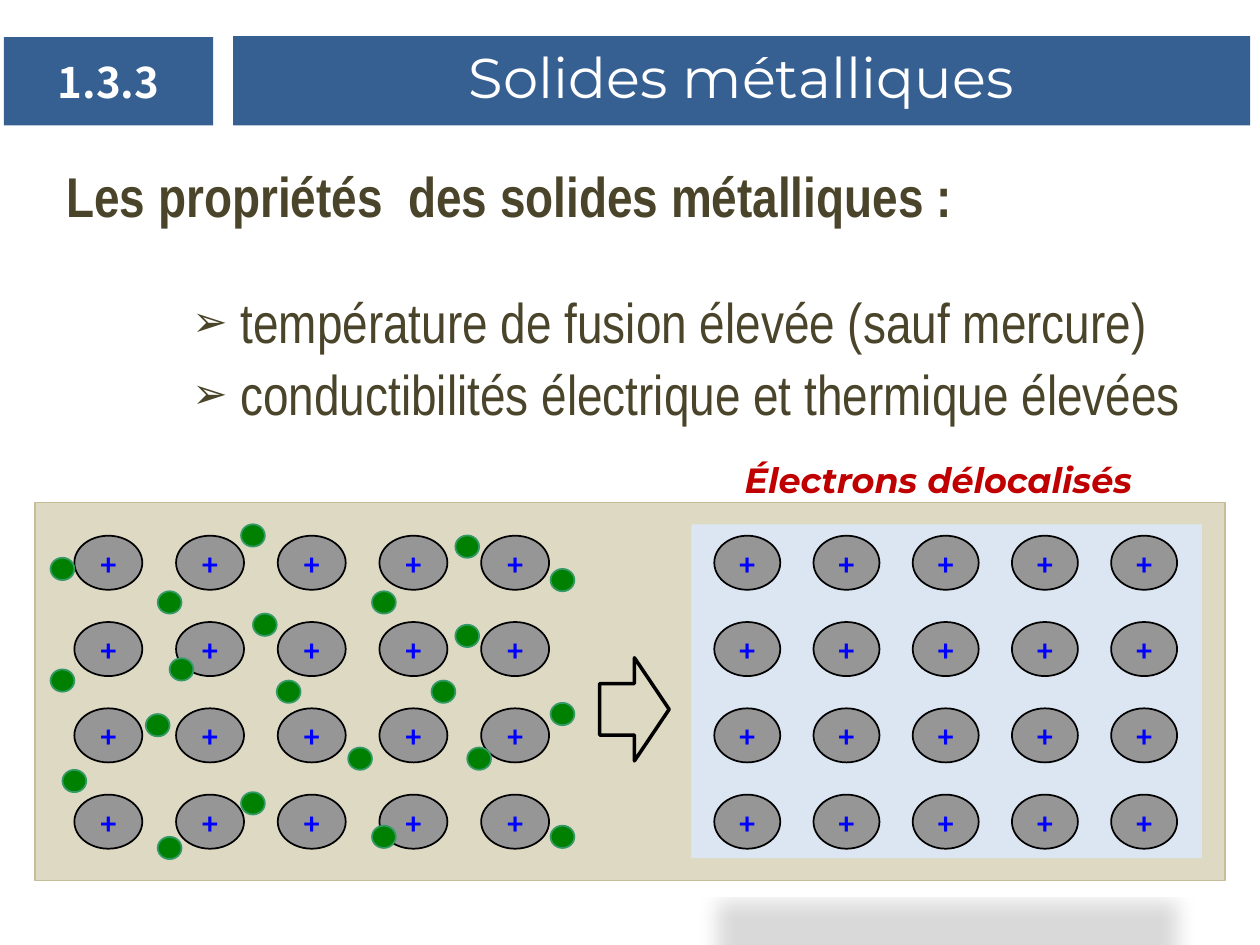
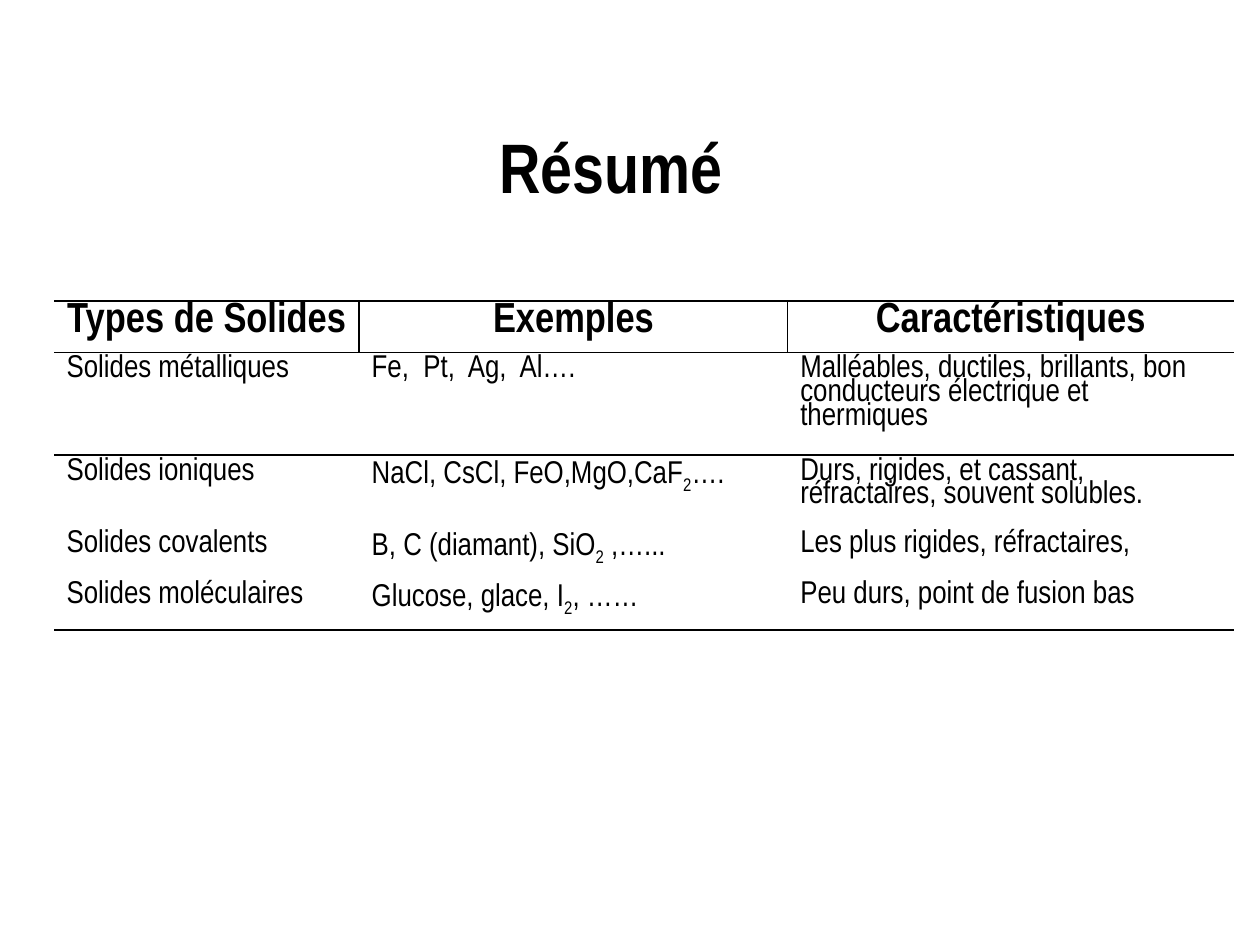
from dataclasses import dataclass
from itertools import product
from typing import Any, Optional

from lxml.etree import SubElement
from pptx import Presentation
from pptx.dml.color import RGBColor
from pptx.enum.shapes import MSO_SHAPE
from pptx.enum.text import MSO_ANCHOR, MSO_AUTO_SIZE, PP_ALIGN
from pptx.oxml.ns import qn
from pptx.util import Cm, Pt

COLORS = {
    "band": "376092", "white": "FFFFFF", "black": "000000",
    "text": "4A452A", "label": "C00000", "plus": "0000FF",
    "panel": "DDD9C3", "edge": "C4BD97", "sea": "DCE6F2",
    "ion": "969696", "dot": "008000", "ring": "339966",
}
NARROW = "Arial Narrow"
PLAIN_GRID = "{2D5ABB26-0587-4C30-8999-92F81FD0307C}"


@dataclass(frozen=True)
class Box:
    left: float
    top: float
    width: float
    height: float

    def cm(self) -> tuple:
        return Cm(self.left), Cm(self.top), Cm(self.width), Cm(self.height)


@dataclass(frozen=True)
class Font:
    name: str
    size: float
    color: str
    bold: bool = False
    slant: bool = False


@dataclass(frozen=True)
class Look:
    kind: MSO_SHAPE
    fill: Optional[str] = None
    line: Optional[str] = None
    weight: float = 1


@dataclass(frozen=True)
class Grid:
    left: float
    step: float
    width: float


BAND = Look(MSO_SHAPE.RECTANGLE, "band")
PANEL = Look(MSO_SHAPE.RECTANGLE, "panel", "edge")
SEA = Look(MSO_SHAPE.RECTANGLE, "sea")
ION = Look(MSO_SHAPE.OVAL, "ion", "black")
DOT = Look(MSO_SHAPE.OVAL, "dot", "ring")
ARROW = Look(MSO_SHAPE.RIGHT_ARROW, None, "black", 2)

BANNER = Font("Montserrat", 32, "white")
NUMBER = Font("Noto Sans CJK KR", 24, "white", True)
LEAD = Font(NARROW, 32, "text", True)
POINT = Font(NARROW, 32, "text")
LABEL = Font("Montserrat", 20, "label", True, True)
PLUS = Font("Calibri", 18, "plus", True)
TITLE = Font(NARROW, 40, "black", True)
HEAD = Font(NARROW, 24, "black", True)
CELL = Font(NARROW, 18, "black")

GRIDS = (Grid(1.5, 2.05, 1.37), Grid(14.4, 2, 1.33))
ION_TOP, ION_STEP, ION_HIGH = 10.8, 1.74, 1.09
DOT_LEFT, DOT_TOP, DOT_WIDE, DOT_HIGH = 1.02, 10.57, 0.48, 0.45
DOTS = (
    (0, 3), (19, 14), (0, 13), (9, 6), (25, 20), (8, 17), (16, 24),
    (1, 22), (9, 28), (17, 8), (34, 9), (27, 6), (35, 20), (16, 0),
    (27, 27), (42, 27), (32, 14), (42, 4), (10, 12), (42, 16), (34, 1),
)

POINTS = (
    " température de fusion élevée (sauf mercure)",
    " conductibilités électrique et thermique élevées",
)
HEADS = ("Types de Solides", "Exemples", "Caractéristiques")
ROWS = (
    ("Solides métalliques", "Fe,  Pt,  Ag,  Al….",
     "Malléables, ductiles, brillants, bon conducteurs électrique et thermiques"),
    ("Solides ioniques", ("NaCl, CsCl, FeO,MgO,CaF", "2", "…."),
     "Durs, rigides, et cassant, réfractaires, souvent solubles."),
    ("Solides covalents", ("B, C (diamant), SiO", "2", " ,…..."),
     "Les plus rigides, réfractaires,"),
    ("Solides moléculaires", ("Glucose, glace, I", "2", ", ……"),
     "Peu durs, point de fusion bas"),
)
WIDTHS = (6.15, 8.64, 8.99)
HEIGHTS = (1.04, 2.06, 1.45, 1.04, 1.04)


def tint(name: str) -> RGBColor:
    return RGBColor.from_string(COLORS[name])


def add_run(para: Any, text: str, font: Font, low: bool = False) -> None:
    run = para.add_run()
    run.text = text
    run.font.name = font.name
    run.font.size = Pt(font.size)
    run.font.bold = font.bold
    run.font.italic = font.slant
    run.font.color.rgb = tint(font.color)
    if low:
        run.font._element.set("baseline", "-25000")


def write(shape: Any, text: str, font: Font, wrap: bool = True,
          anchor: Any = MSO_ANCHOR.MIDDLE, align: Any = PP_ALIGN.CENTER) -> None:
    frame = shape.text_frame
    frame.auto_size = MSO_AUTO_SIZE.NONE
    frame.word_wrap = wrap
    frame.vertical_anchor = anchor
    para = frame.paragraphs[0]
    para.alignment = align
    add_run(para, text, font)


def draw(slide: Any, look: Look, box: Box) -> Any:
    shape = slide.shapes.add_shape(look.kind, *box.cm())
    shape.shadow.inherit = False
    if look.fill:
        shape.fill.solid()
        shape.fill.fore_color.rgb = tint(look.fill)
    else:
        shape.fill.background()
    if look.line:
        shape.line.color.rgb = tint(look.line)
        shape.line.width = Pt(look.weight)
    else:
        shape.line.fill.background()
    return shape


def set_title(slide: Any, box: Box, text: str, font: Font,
              anchor: Any = MSO_ANCHOR.MIDDLE) -> Any:
    title = slide.shapes.title
    title.left, title.top, title.width, title.height = box.cm()
    write(title, text, font, anchor=anchor)
    return title


def cast_shadow(shape: Any) -> None:
    effects = shape._element.spPr.find(qn("a:effectLst"))
    shadow = SubElement(effects, qn("a:outerShdw"), {
        "blurRad": str(Pt(12)), "dist": str(Pt(25)), "dir": "5400000",
        "sx": "90000", "sy": "-19000", "rotWithShape": "0"})
    color = SubElement(shadow, qn("a:srgbClr"), val=COLORS["black"])
    SubElement(color, qn("a:alpha"), val="15000")


def add_points(slide: Any) -> None:
    frame = slide.shapes.add_textbox(*Box(1.09, 3.4, 23.85, 7).cm()).text_frame
    frame.word_wrap = True
    lead = frame.paragraphs[0]
    lead.line_spacing = 0.8
    add_run(lead, "Les propriétés  des solides métalliques :", LEAD)
    for text, gap in zip(POINTS, (38, 6.4)):
        para = frame.add_paragraph()
        para.line_spacing = 0.9
        para.space_before = Pt(gap)
        props = para._p.get_or_add_pPr()
        props.set("marL", str(Cm(3.18)))
        props.set("indent", str(-Cm(0.64)))
        SubElement(props, qn("a:buSzPct"), val="75000")
        SubElement(props, qn("a:buFont"), typeface="Arial")
        SubElement(props, qn("a:buChar"), char="➢")
        add_run(para, text, POINT)


def add_ions(slide: Any, grid: Grid) -> None:
    for row, col in product(range(4), range(5)):
        box = Box(grid.left + col * grid.step, ION_TOP + row * ION_STEP,
                  grid.width, ION_HIGH)
        write(draw(slide, ION, box), "+", PLUS, wrap=False)


def add_dots(slide: Any) -> None:
    for col, row in DOTS:
        draw(slide, DOT, Box(DOT_LEFT + col * DOT_WIDE / 2,
                             DOT_TOP + row * DOT_HIGH / 2, DOT_WIDE, DOT_HIGH))


def build_metals(slide: Any) -> None:
    title = set_title(slide, Box(4.7, 0.73, 20.5, 1.8), "Solides métalliques",
                      BANNER, MSO_ANCHOR.TOP)
    title.fill.solid()
    title.fill.fore_color.rgb = tint("band")
    write(draw(slide, BAND, Box(0.08, 0.75, 4.22, 1.78)), "1.3.3", NUMBER)
    add_points(slide)
    draw(slide, PANEL, Box(0.7, 10.13, 24, 7.62))
    add_ions(slide, GRIDS[0])
    cast_shadow(draw(slide, SEA, Box(13.94, 10.57, 10.29, 6.73)))
    add_ions(slide, GRIDS[1])
    add_dots(slide)
    label = slide.shapes.add_textbox(*Box(14.76, 9.12, 10.1, 1.12).cm())
    write(label, "Électrons délocalisés", LABEL,
          anchor=MSO_ANCHOR.TOP, align=PP_ALIGN.LEFT)
    draw(slide, ARROW, Box(12.09, 13.26, 1.4, 2.08))


def rule(cell: Any, sides: str) -> None:
    props = cell._tc.get_or_add_tcPr()
    for side in sides:
        line = SubElement(props, qn(f"a:ln{side}"), w=str(Pt(1)))
        fill = SubElement(line, qn("a:solidFill"))
        SubElement(fill, qn("a:srgbClr"), val=COLORS["black"])


def build_table(slide: Any) -> None:
    set_title(slide, Box(1.09, 1.75, 22.45, 3.18), "Résumé", TITLE)
    box = Box(1.09, 6.07, sum(WIDTHS), sum(HEIGHTS))
    frame = slide.shapes.add_table(len(HEIGHTS), len(WIDTHS), *box.cm())
    table = frame.table
    table.first_row = table.horz_banding = False
    table._tbl.tblPr.find(qn("a:tableStyleId")).text = PLAIN_GRID
    for col, width in zip(table.columns, WIDTHS):
        col.width = Cm(width)
    for row, height in zip(table.rows, HEIGHTS):
        row.height = Cm(height)
    borders = {0: ("RTB", "LRTB", "LTB"), 1: ("T",) * 3, 4: ("B",) * 3}
    for r, texts in enumerate((HEADS, *ROWS)):
        for c, text in enumerate(texts):
            cell = table.cell(r, c)
            rule(cell, borders.get(r, ("",) * 3)[c])
            cell.fill.background()
            para = cell.text_frame.paragraphs[0]
            para.line_spacing = 0.8
            para.alignment = PP_ALIGN.LEFT if r else PP_ALIGN.CENTER
            parts = (text,) if isinstance(text, str) else text
            for part in parts:
                add_run(para, part, CELL if r else HEAD, low=part == "2")


def main() -> None:
    deck = Presentation()
    deck.slide_width, deck.slide_height = Cm(25.4), Cm(19.05)
    for build in (build_metals, build_table):
        build(deck.slides.add_slide(deck.slide_layouts[5]))
    deck.save("out.pptx")


if __name__ == "__main__":
    main()
